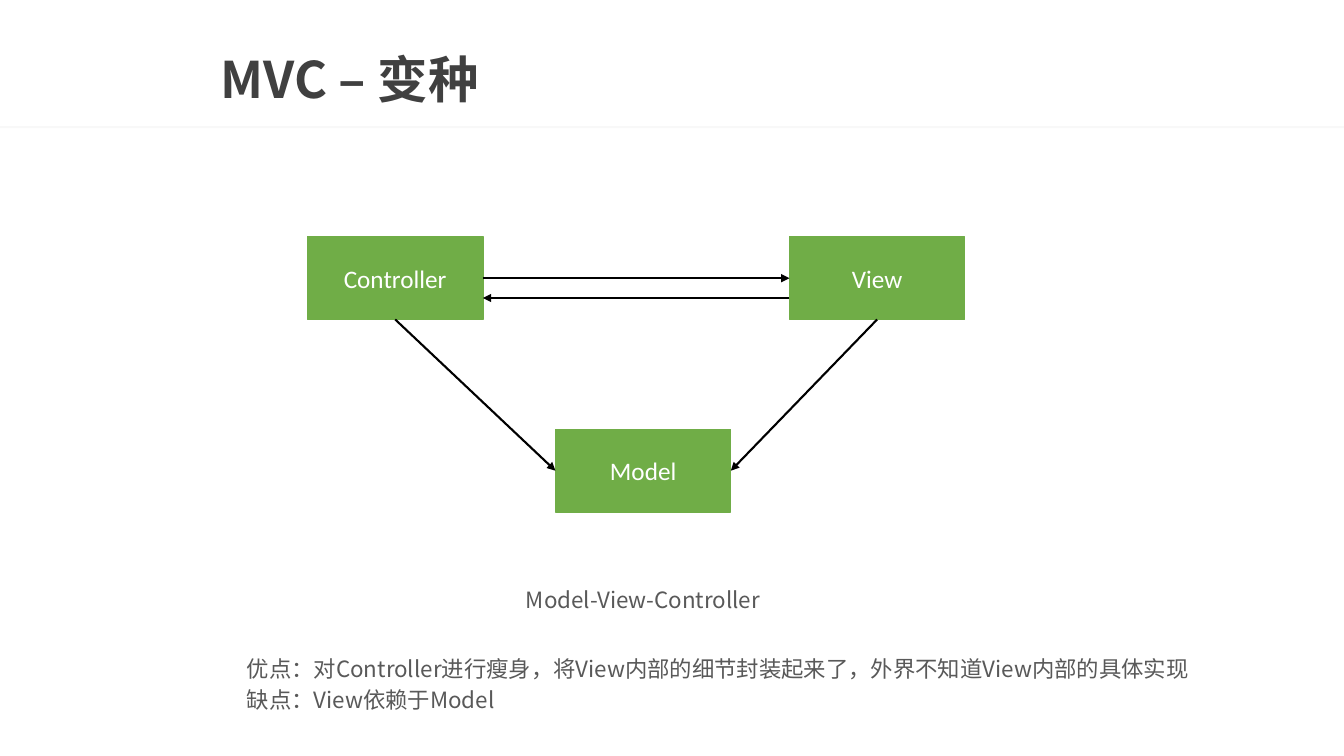
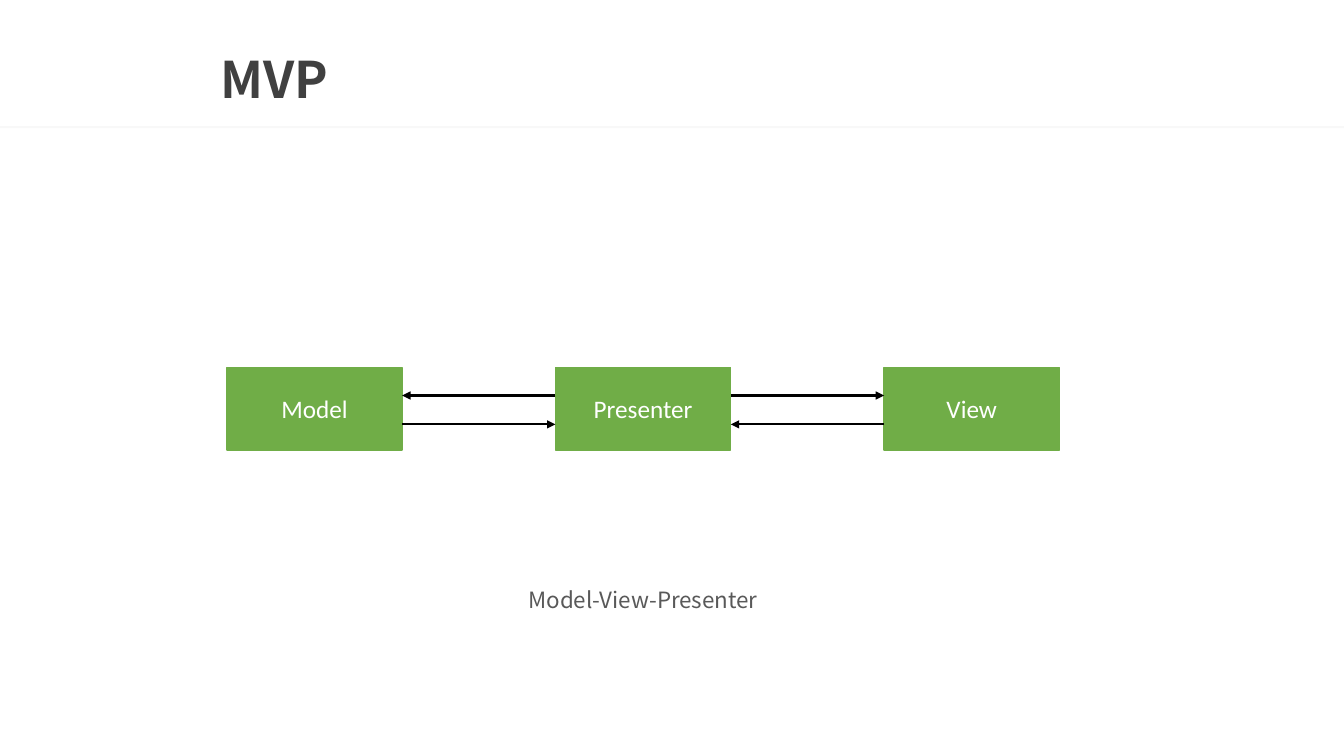
from dataclasses import dataclass

from lxml import etree
from pptx import Presentation
from pptx.dml.color import RGBColor
from pptx.enum import shapes, text
from pptx.oxml import ns
from pptx.util import Inches, Pt


@dataclass(frozen=True)
class Theme:
    """Colours, fonts, type sizes and line widths of the deck."""
    title_ink: str = "404040"
    body_ink: str = "595959"
    card: str = "70AD47"
    card_ink: str = "FFFFFF"
    arrow: str = "000000"
    rule: str = "EAEAEA"
    rule_opacity: int = 32
    body_font: str = "Noto Sans CJK SC"
    card_font: str = "Calibri"
    title_size: int = 36
    card_size: int = 18
    body_size: int = 16
    leading: int = 22
    card_line: float = 1
    arrow_line: float = 1.5


THEME = Theme()
WIDTH, HEIGHT = Inches(13.33), Inches(7.5)
CARD_SIZE = (13.05, 10.93)
CENTRE_COLUMN = 41.33
SITES = {(0.5, 0): 0, (0, 0.5): 1, (0.5, 1): 2, (1, 0.5): 3}


def place(left, top, width, height):
    """Turn percentages of the slide into lengths."""
    return [round(share * side / 100) for share, side in
            zip((left, top, width, height), (WIDTH, HEIGHT) * 2)]


def add_xml(parent, tag, **attributes):
    """Append a drawing element to a parent."""
    return etree.SubElement(parent, ns.qn(tag), **attributes)


def write(frame, words, font, size, ink, align, spacing=None, bold=False):
    """Fill a text frame and format its paragraphs and runs."""
    frame.text = words
    frame.word_wrap = True
    frame.vertical_anchor = text.MSO_ANCHOR.MIDDLE
    for paragraph in frame.paragraphs:
        paragraph.alignment = align
        paragraph.line_spacing = spacing
        for run in paragraph.runs:
            run.font.name = font
            run.font.size = Pt(size)
            run.font.bold = bold
            run.font.color.rgb = RGBColor.from_string(ink)
            add_xml(run.font._element, "a:ea", typeface=font)


def add_block(slide, box, ink):
    """Draw a plain filled rectangle."""
    block = slide.shapes.add_shape(shapes.MSO_SHAPE.RECTANGLE, *place(*box))
    block.shadow.inherit = False
    block.fill.solid()
    block.fill.fore_color.rgb = RGBColor.from_string(ink)
    return block


def add_page(deck, title):
    """Start a slide with the shared title and the rule below it."""
    slide = deck.slides.add_slide(deck.slide_layouts[6])
    rule = add_block(slide, (0, 16.67, 100, 0.27), THEME.rule)
    rule.line.fill.background()
    tint = rule._element.spPr.find(".//" + ns.qn("a:srgbClr"))
    add_xml(tint, "a:alpha", val=str(THEME.rule_opacity * 1000))
    heading = slide.shapes.add_textbox(*place(15.68, 5.73, 82.74, 10.4))
    write(heading.text_frame, title, THEME.body_font, THEME.title_size,
          THEME.title_ink, text.PP_ALIGN.LEFT, 0.9, True)
    return slide


def add_card(slide, label, left, top):
    """Draw one labelled component of the pattern."""
    card = add_block(slide, (left, top, *CARD_SIZE), THEME.card)
    card.line.color.rgb = RGBColor.from_string(THEME.card)
    card.line.width = Pt(THEME.card_line)
    write(card.text_frame, label, THEME.card_font, THEME.card_size,
          THEME.card_ink, text.PP_ALIGN.CENTER)
    return card


def spot(card, across, down):
    """Find a point on a card from shares of its size."""
    return (round(card.left + across * card.width),
            round(card.top + down * card.height))


def add_arrow(slide, source, leave, target, arrive):
    """Draw an arrow between two cards, glued where a site exists."""
    arrow = slide.shapes.add_connector(
        shapes.MSO_CONNECTOR.STRAIGHT, *spot(source, *leave), *spot(target, *arrive))
    if leave in SITES:
        arrow.begin_connect(source, SITES[leave])
    if arrive in SITES:
        arrow.end_connect(target, SITES[arrive])
    arrow.line.color.rgb = RGBColor.from_string(THEME.arrow)
    arrow.line.width = Pt(THEME.arrow_line)
    add_xml(arrow.line._get_or_add_ln(), "a:tailEnd", type="triangle")
    add_xml(arrow._element.spPr, "a:effectLst")


def add_exchange(slide, left_card, right_card, forth, back):
    """Draw a pair of opposite arrows at two heights between neighbours."""
    add_arrow(slide, left_card, (1, forth), right_card, (0, forth))
    add_arrow(slide, right_card, (0, back), left_card, (1, back))


def add_body(slide, words, box, align):
    """Write body text with fixed leading."""
    body = slide.shapes.add_textbox(*place(*box))
    write(body.text_frame, words, THEME.body_font, THEME.body_size,
          THEME.body_ink, align, Pt(THEME.leading))


def add_caption(slide, words):
    """Write the full name of the pattern below its diagram."""
    add_body(slide, words, (34.95, 75.73, 25.8, 6.53), text.PP_ALIGN.CENTER)


def build_mvc(deck):
    """Build the slide on the MVC variant."""
    slide = add_page(deck, "MVC – 变种")
    controller = add_card(slide, "Controller", 22.88, 31.33)
    view = add_card(slide, "View", 58.74, 31.33)
    model = add_card(slide, "Model", CENTRE_COLUMN, 56.8)
    add_exchange(slide, controller, view, 0.5, 0.74)
    add_arrow(slide, controller, (0.5, 1), model, (0, 0.5))
    add_arrow(slide, view, (0.5, 1), model, (1, 0.5))
    add_caption(slide, "Model-View-Controller")
    add_body(slide,
             "优点：对Controller进行瘦身，将View内部的细节封装起来了，"
             "外界不知道View内部的具体实现\n缺点：View依赖于Model",
             (17.63, 85.87, 73.5, 8.67), text.PP_ALIGN.LEFT)


def build_mvp(deck):
    """Build the slide on MVP."""
    slide = add_page(deck, "MVP")
    add_caption(slide, "Model-View-Presenter")
    model, presenter, view = [
        add_card(slide, label, CENTRE_COLUMN + step * 24.45, 48.6)
        for step, label in enumerate(("Model", "Presenter", "View"), -1)]
    add_exchange(slide, presenter, view, 0.34, 0.69)
    add_exchange(slide, model, presenter, 0.69, 0.34)


def main():
    """Build and save the deck."""
    deck = Presentation()
    deck.slide_width, deck.slide_height = WIDTH, HEIGHT
    build_mvc(deck)
    build_mvp(deck)
    deck.save("out.pptx")


if __name__ == "__main__":
    main()
